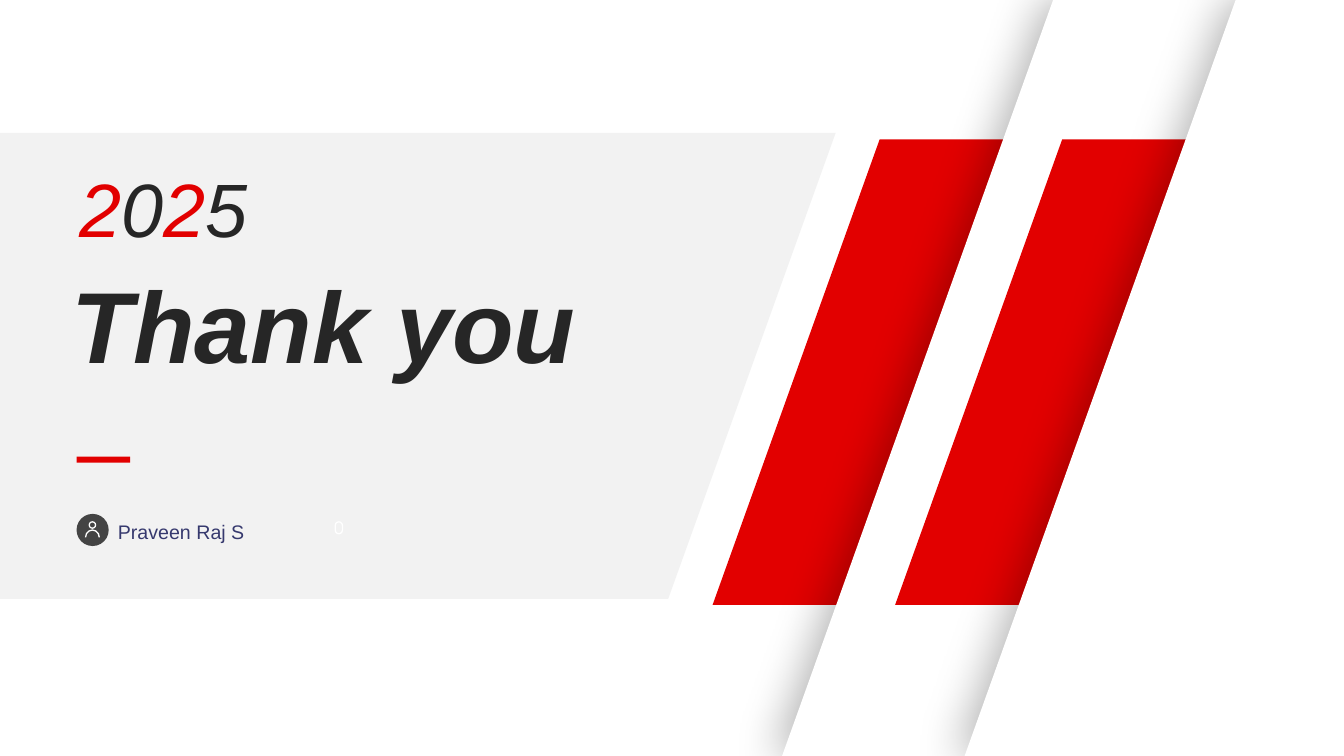
from lxml.etree import SubElement
from pptx import Presentation
from pptx.dml.color import RGBColor
from pptx.enum.shapes import MSO_SHAPE as Kind
from pptx.enum.text import MSO_ANCHOR as Anchor, MSO_AUTO_SIZE as Fit, PP_ALIGN as Align
from pptx.oxml.ns import qn
from pptx.util import Cm, Pt

RED = RGBColor(0xE2, 0x00, 0x00)
WHITE = RGBColor(0xFF, 0xFF, 0xFF)
PALE = RGBColor(0xF2, 0xF2, 0xF2)
DARK = RGBColor(0x26, 0x26, 0x26)
GREY = RGBColor(0x44, 0x44, 0x44)
NAVY = RGBColor(0x36, 0x39, 0x6E)
FONT = "Arial"
WIDE, HIGH = 33.87, 19.05
STEP = 4.6  # distance between the two stripes


def paint(shape, color):
    shape.shadow.inherit = False
    shape.fill.solid()
    shape.fill.fore_color.rgb = color
    shape.line.fill.background()
    return shape


def add_slab(shapes, points, color):
    """Draw a filled polygon through points given in centimetres."""
    first, *rest = [(Cm(x), Cm(y)) for x, y in points]
    pen = shapes.build_freeform(*first)
    pen.add_line_segments(rest, close=True)
    return paint(pen.convert_to_shape(), color)


def cast_left(shape):
    """Give the shape a soft shadow on its left."""
    effects = shape.element.spPr.find(qn("a:effectLst"))
    shadow = SubElement(effects, qn("a:outerShdw"), blurRad=str(Pt(33)),
                        dist=str(Pt(5)), dir="10800000", algn="r",
                        rotWithShape="0")
    tint = SubElement(shadow, qn("a:srgbClr"), val="000000")
    SubElement(tint, qn("a:alpha"), val="30000")


def add_stripe(shapes, shift):
    """Draw a red band and the white sheet that covers its right part."""
    def slant(top, foot, high, low):
        return [(top + shift, high), (WIDE, high), (WIDE, low), (foot + shift, low)]

    add_slab(shapes, slant(22.17, 17.96, 3.51, 15.24), RED)
    cast_left(add_slab(shapes, slant(26.54, 19.71, 0, HIGH), WHITE))


def add_solid(shapes, kind, box, color):
    return paint(shapes.add_shape(kind, *map(Cm, box)), color)


def add_ring(shapes, kind, box):
    ring = shapes.add_shape(kind, *map(Cm, box))
    ring.shadow.inherit = False
    ring.fill.background()
    ring.line.color.rgb = WHITE
    ring.line.width = Pt(0.9)
    return ring


def set_text(shape, parts, size, wrap=True, bold=False, italic=False):
    """Write (text, colour) parts as one left-aligned line."""
    frame = shape.text_frame
    frame.word_wrap = wrap
    frame.auto_size = Fit.SHAPE_TO_FIT_TEXT
    frame.vertical_anchor = Anchor.TOP
    line = frame.paragraphs[0]
    line.alignment = Align.LEFT
    font = line.font
    font.name, font.size, font.bold, font.italic = FONT, Pt(size), bold, italic
    for text, color in parts:
        run = line.add_run()
        run.text = text
        run.font.color.rgb = color


def add_text(shapes, box, *args, **style):
    set_text(shapes.add_textbox(*map(Cm, box)), *args, **style)


def add_title(shapes):
    title = shapes.title
    title.left, title.top, title.width, title.height = map(Cm, (1.55, 6.5, 15.85, 3.33))
    set_text(title, [("Thank you", DARK)], 72, bold=True, italic=True)
    shapes.element.append(title.element)  # bring in front of the panel


def add_badge(shapes):
    """Draw the round user icon."""
    add_solid(shapes, Kind.OVAL, (1.93, 12.95, 0.81, 0.81), GREY)
    add_ring(shapes, Kind.OVAL, (2.25, 13.15, 0.16, 0.16))
    arms = add_solid(shapes, Kind.BLOCK_ARC, (2.14, 13.34, 0.38, 0.4), WHITE)
    arms.adjustments[2] = 0.09


def main():
    deck = Presentation()
    deck.slide_width, deck.slide_height = Cm(WIDE), Cm(HIGH)
    shapes = deck.slides.add_slide(deck.slide_layouts[5]).shapes

    add_slab(shapes, [(0, 3.35), (21.06, 3.35), (16.84, 15.09), (0, 15.09)], PALE)
    for shift in (0, STEP):
        add_stripe(shapes, shift)

    year = zip("2025", (RED, DARK) * 2)
    add_text(shapes, (1.75, 3.96, 5.89, 2.57), year, 54, italic=True)
    add_title(shapes)
    add_solid(shapes, Kind.RECTANGLE, (1.93, 11.51, 1.35, 0.15), RED)

    zero = add_ring(shapes, Kind.ROUNDED_RECTANGLE, (8.45, 13.15, 0.18, 0.3))
    zero.adjustments[0] = 0.5
    add_badge(shapes)
    add_text(shapes, (2.72, 12.98, 3.73, 0.86), [("Praveen Raj S", NAVY)], 14, wrap=False)
    deck.save("out.pptx")


if __name__ == "__main__":
    main()
